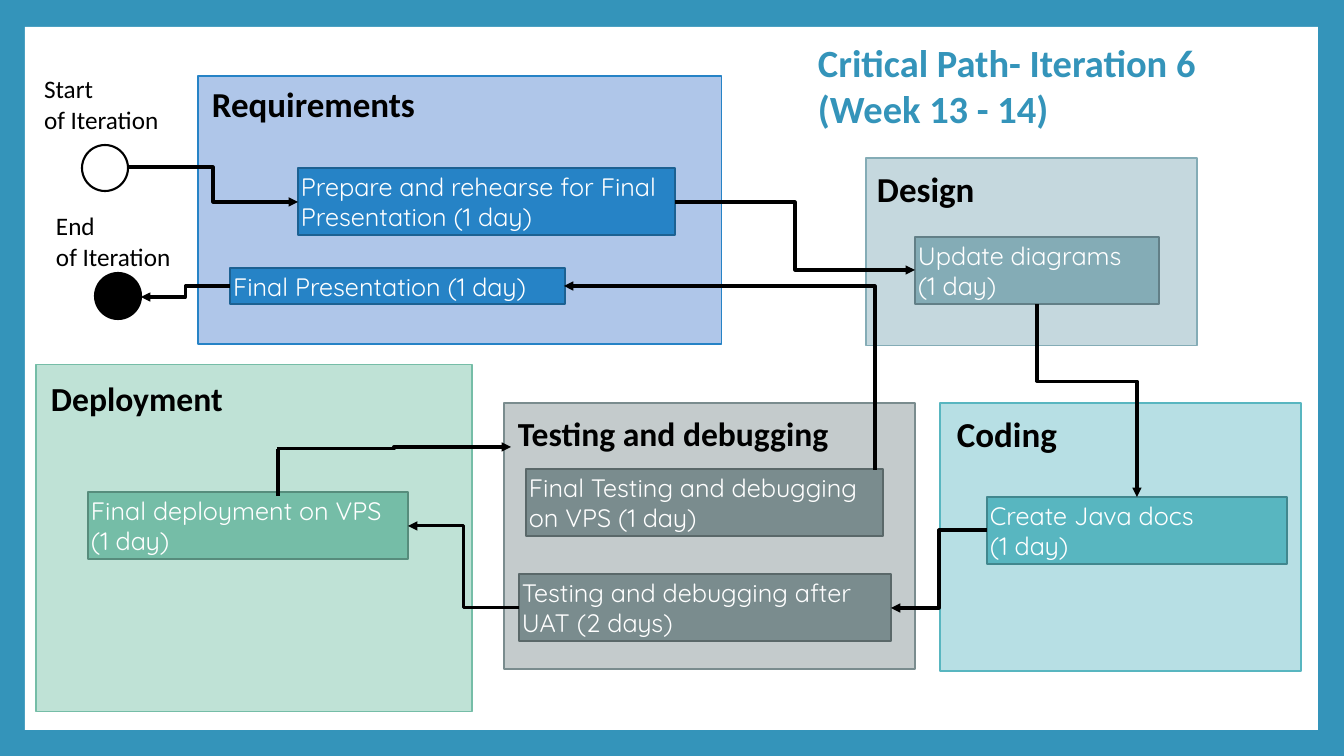
import lxml.etree
import pptx
import pptx.dml.color
import pptx.enum.shapes
import pptx.enum.text
import pptx.oxml.ns
import pptx.util

RGB = pptx.dml.color.RGBColor
SHAPE = pptx.enum.shapes.MSO_SHAPE
CONNECTOR = pptx.enum.shapes.MSO_CONNECTOR
ANCHOR = pptx.enum.text.MSO_ANCHOR
qn = pptx.oxml.ns.qn

EMU_PER_PIXEL = 914400 / 100.8
TASK_HEIGHT = 67
INSET = 3

WHITE = RGB(0xFF, 0xFF, 0xFF)
BLACK = RGB(0x00, 0x00, 0x00)
FRAME_BLUE = RGB(0x34, 0x94, 0xBA)
REQUIREMENTS = (RGB(0xAF, 0xC6, 0xE9), RGB(0x26, 0x83, 0xC6), RGB(0x1C, 0x61, 0x92))
DESIGN = (RGB(0xC5, 0xD8, 0xDE), RGB(0x84, 0xAC, 0xB6), RGB(0x62, 0x7F, 0x87))
TESTING = (RGB(0xC4, 0xCB, 0xCC), RGB(0x7A, 0x8C, 0x8E), RGB(0x5A, 0x68, 0x69))
CODING = (RGB(0xB7, 0xDF, 0xE4), RGB(0x58, 0xB6, 0xC0), RGB(0x41, 0x87, 0x8E))
DEPLOYMENT = (RGB(0xBF, 0xE2, 0xD6), RGB(0x75, 0xBD, 0xA7), RGB(0x57, 0x8C, 0x7C))


def emu(*pixels):
    return [round(pixel * EMU_PER_PIXEL) for pixel in pixels]


def write(shape, text, size, font, color, bold=False, inset=INSET, wrap=True):
    frame = shape.text_frame
    frame.text = text
    frame.word_wrap = wrap
    frame.vertical_anchor = ANCHOR.MIDDLE
    margin = emu(inset)[0]
    frame.margin_left = frame.margin_right = margin
    frame.margin_top = frame.margin_bottom = margin
    for para in frame.paragraphs:
        para.alignment = pptx.enum.text.PP_ALIGN.LEFT
        for span in para.runs:
            span.font.size = pptx.util.Pt(size)
            span.font.name = font
            span.font.bold = bold
            span.font.color.rgb = color


def add_block(page, kind, box, fill, line=None, weight=1.5):
    block = page.shapes.add_shape(kind, *emu(*box))
    block.shadow.inherit = False
    block.fill.solid()
    block.fill.fore_color.rgb = fill
    if line is None:
        block.line.fill.background()
    else:
        block.line.color.rgb = line
        block.line.width = pptx.util.Pt(weight)
    return block


def add_stage(page, box, colors, heading, heading_box, size, tasks):
    left, top = box[:2]
    pale, strong, dark = colors
    add_block(page, SHAPE.RECTANGLE, box, pale, strong, 0.79)
    x, y, width, height = heading_box
    title = page.shapes.add_textbox(*emu(left + x, top + y, width, height))
    write(title, heading, size, "Calibri", BLACK, bold=True)
    for text, x, y, width, height in tasks:
        task = add_block(page, SHAPE.RECTANGLE, (left + x, top + y, width, height), strong, dark)
        write(task, text, 18, "Quicksand", WHITE)


def add_milestone(page, box, text, circle_offset, fill):
    left, top, width, height = box
    label = page.shapes.add_textbox(*emu(*box))
    write(label, text, 18, "Calibri", BLACK, inset=10)
    x, y = circle_offset
    add_block(page, SHAPE.OVAL, (left + x, top + y, 46, 46), fill, BLACK)


def add_link(page, start, end, bend=0.5, kind=CONNECTOR.ELBOW, arrow=True, downward=False):
    if downward:
        middle_x, middle_y = (start[0] + end[0]) / 2, (start[1] + end[1]) / 2
        half_width, half_height = (end[1] - start[1]) / 2, (end[0] - start[0]) / 2
        start = middle_x + half_width, middle_y - half_height
        end = middle_x - half_width, middle_y + half_height
    link = page.shapes.add_connector(kind, *emu(*start, *end))
    link.line.color.rgb = BLACK
    link.line.width = pptx.util.Pt(2.25)
    properties = link._element.spPr
    if downward:
        properties.find(qn("a:xfrm")).set("rot", "16200000")
    if kind == CONNECTOR.ELBOW:
        guides = properties.find(qn("a:prstGeom")).get_or_add_avLst()
        lxml.etree.SubElement(guides, qn("a:gd"), name="adj1", fmla=f"val {round(bend * 100000)}")
    if arrow:
        lxml.etree.SubElement(properties.find(qn("a:ln")), qn("a:tailEnd"), type="triangle")
    lxml.etree.SubElement(properties, qn("a:effectLst"))


def add_title(page, box):
    title = page.shapes.add_textbox(*emu(*box))
    write(title, "Critical Path- Iteration 6\n(Week 13 - 14)", 27.5, "Calibri",
          FRAME_BLUE, bold=True, inset=0, wrap=False)


def build_critical_path(page):
    page.background.fill.solid()
    page.background.fill.fore_color.rgb = FRAME_BLUE
    add_block(page, SHAPE.RECTANGLE, (25, 27, 1293, 703), WHITE)
    add_title(page, (818, 38, 410, 94))
    stages = [
        ((866, 158, 331, 188), DESIGN, "Design", (8, 6, 256, 48), 25,
         [("Update diagrams\n(1 day)", 49, 79, 244, TASK_HEIGHT)]),
        ((198, 76, 524, 268), REQUIREMENTS, "Requirements", (11, 3, 501, 48), 25,
         [("Prepare and rehearse for Final Presentation (1 day)", 100, 92, 377, TASK_HEIGHT),
          ("Final Presentation (1 day)", 32, 192, 335, 36)]),
        ((504, 403, 411, 266), TESTING, "Testing and debugging", (11, 7, 347, 46), 24,
         [("Testing and debugging after UAT (2 days)", 15, 171, 372, TASK_HEIGHT),
          ("Final Testing and debugging on VPS (1 day)", 22, 66, 357, TASK_HEIGHT)]),
        ((940, 403, 361, 268), CODING, "Coding", (14, 6, 206, 48), 25,
         [("Create Java docs\n(1 day)", 47, 94, 300, TASK_HEIGHT)]),
        ((36, 365, 436, 347), DEPLOYMENT, "Deployment", (12, 10, 442, 46), 24,
         [("Final deployment on VPS (1 day)", 52, 127, 320, TASK_HEIGHT)]),
    ]
    for stage in stages:
        add_stage(page, *stage)
    add_milestone(page, (34, 68, 139, 72), "Start\nof Iteration", (48, 77), WHITE)
    add_milestone(page, (46, 205, 139, 72), "End\nof Iteration", (49, 68), BLACK)
    add_link(page, (128, 167), (298, 202))
    add_link(page, (675, 202), (915, 270))
    add_link(page, (1037, 304), (1137, 497), bend=0.4, downward=True)
    add_link(page, (987, 530), (891, 608))
    add_link(page, (519, 608), (408, 526))
    add_link(page, (277, 449), (511, 447))
    add_link(page, (278, 449), (278, 496), kind=CONNECTOR.STRAIGHT, arrow=False)
    add_link(page, (875, 470), (564, 286), bend=0)
    add_link(page, (230, 286), (141, 297))


deck = pptx.Presentation()
deck.slide_width, deck.slide_height = emu(1344, 756)
build_critical_path(deck.slides.add_slide(deck.slide_layouts[6]))
deck.save("out.pptx")
